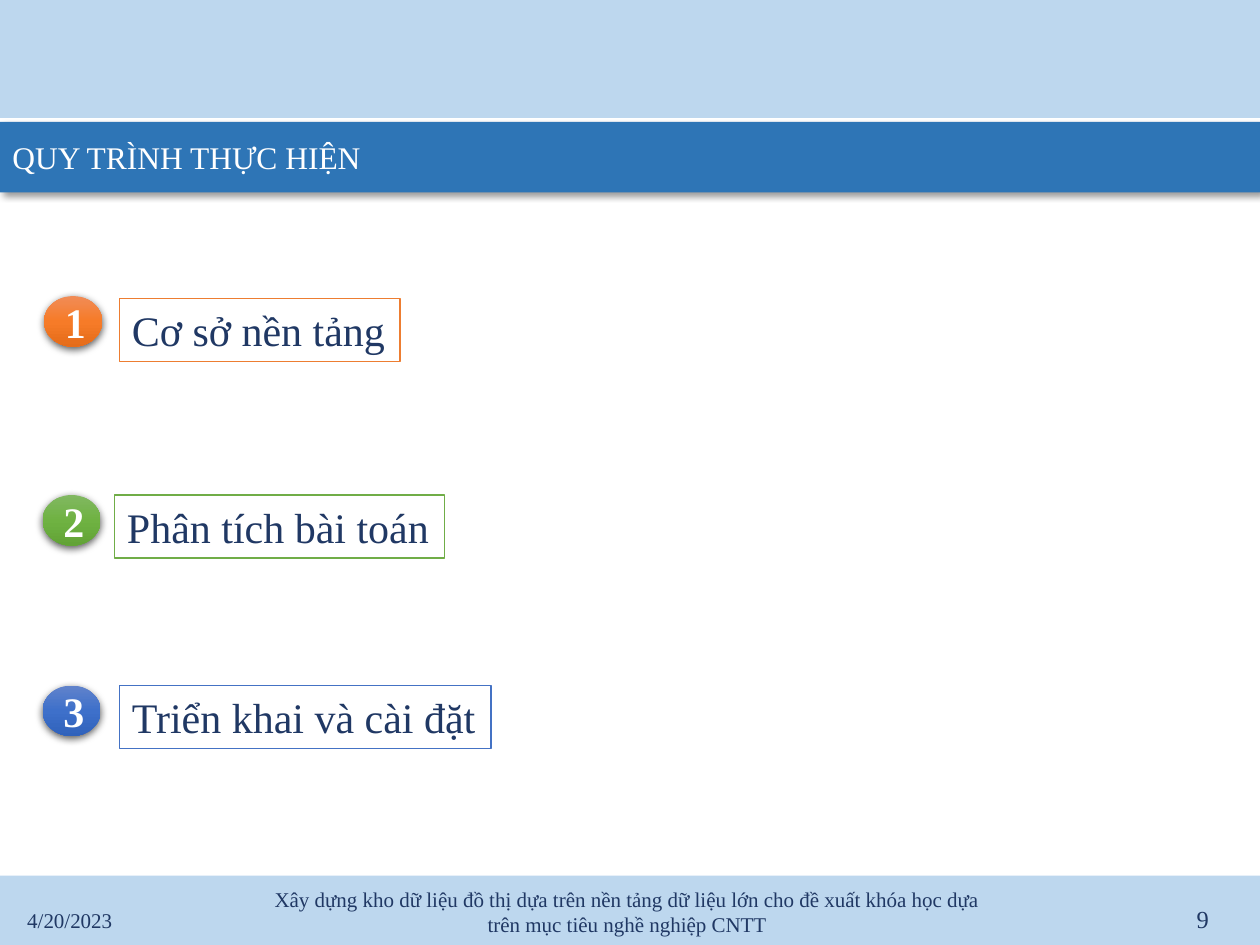
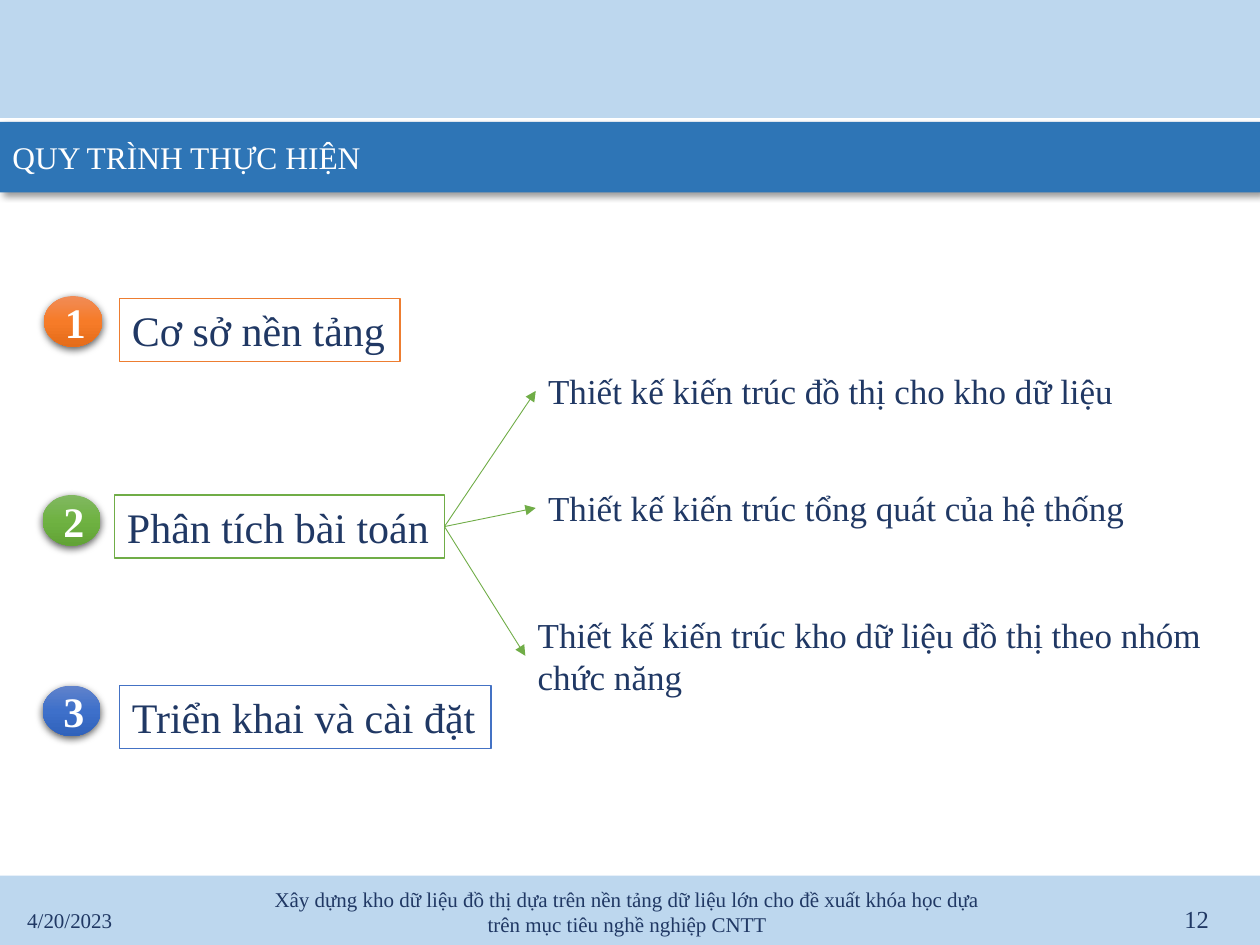
"""Builds the process overview slide and the slide that expands its second step."""
from lxml.etree import SubElement
from pptx import Presentation
from pptx.dml.color import RGBColor
from pptx.enum.shapes import MSO_CONNECTOR, MSO_SHAPE
from pptx.enum.text import MSO_ANCHOR as Anchor, MSO_AUTO_SIZE as AutoSize, PP_ALIGN as Align
from pptx.oxml.ns import qn
from pptx.util import Cm, Pt

FONT = "Times New Roman"
WIDTH, HEIGHT = 25.4, 19.05
COLORS = {
    "band": "BDD7EE", "title": "2E75B6", "text": "203864", "white": "FFFFFF",
    "orange": "ED7D31", "green": "70AD47", "blue": "4472C4", "shadow": "000000",
}
GRADIENTS = {
    "orange": ("F18C57", "F67B28", "E56C19"),
    "green": ("81B861", "6FB242", "62A336"),
    "blue": ("6183CB", "3E70CA", "3062BB"),
}
TITLE = "QUY TRÌNH THỰC HIỆN"
DATE = "4/20/2023"
TOPIC = ("Xây dựng kho dữ liệu đồ thị dựa trên nền tảng dữ liệu lớn cho đề xuất khóa học "
         "dựa trên mục tiêu nghề nghiệp CNTT")
STEPS = [
    ("Cơ sở nền tảng", "orange", (2.41, 6.02, 5.66, 1.27), (0.89, 5.97)),
    ("Phân tích bài toán", "green", (2.31, 9.98, 6.65, 1.27), (0.86, 9.98)),
    ("Triển khai và cài đặt", "blue", (2.41, 13.82, 7.49, 1.27), (0.86, 13.82)),
]
DESIGN_TASKS = [
    ("Thiết kế kiến trúc đồ thị cho kho dữ liệu", (10.8, 7.32, 12.42, 1.12)),
    ("Thiết kế kiến trúc tổng quát của hệ thống", (10.8, 9.68, 12.29, 1.12)),
    ("Thiết kế kiến trúc kho dữ liệu đồ thị theo nhóm chức năng", (10.59, 12.24, 13.92, 1.96)),
]


def rgb(name):
    return RGBColor.from_string(COLORS[name])


class Deck:
    """Holds the presentation, its style and the current slide."""

    def __init__(self):
        self.file = Presentation()
        self.file.slide_width, self.file.slide_height = Cm(WIDTH), Cm(HEIGHT)
        self.slide = None

    def new_slide(self, number):
        self.slide = self.file.slides.add_slide(self.file.slide_layouts[6])
        self.band(0, 2.38, "band")
        self.band(17.65, HEIGHT - 17.65, "band")
        title = self.band(2.46, 1.42, "title")
        self.set_text(title, TITLE, 18, "white")
        self.cast_shadow(title, 40, 4, 3, 45)
        self.text((0.3, 18.03, 5.72, 1.02), DATE, 12)
        self.text((5.28, 17.86, 14.73, 1.02), TOPIC, 12, Align.CENTER)
        self.text((18.9, 18.01, 5.72, 1.02), str(number), 14, Align.RIGHT)

    def set_text(self, shape, text, size, color="text", align=Align.LEFT, anchor=Anchor.MIDDLE, bold=False):
        frame = shape.text_frame
        frame.text = text
        frame.vertical_anchor = anchor
        paragraph = frame.paragraphs[0]
        paragraph.alignment = align
        font = paragraph.runs[0].font
        font.name, font.size, font.bold = FONT, Pt(size), bold
        font.color.rgb = rgb(color)

    def text(self, box, text, size, align=Align.LEFT, anchor=Anchor.MIDDLE):
        area = self.slide.shapes.add_textbox(*map(Cm, box))
        area.text_frame.word_wrap = True
        self.set_text(area, text, size, align=align, anchor=anchor)
        return area

    def shape(self, kind, box, fill="white"):
        shape = self.slide.shapes.add_shape(kind, *map(Cm, box))
        shape.shadow.inherit = False
        shape.fill.solid()
        shape.fill.fore_color.rgb = rgb(fill)
        shape.line.fill.background()
        return shape

    def band(self, top, height, fill):
        return self.shape(MSO_SHAPE.RECTANGLE, (0, top, WIDTH, height), fill)

    def cast_shadow(self, shape, opacity, blur, distance, angle):
        effects = shape.element.spPr.find(qn("a:effectLst"))
        outer = SubElement(effects, qn("a:outerShdw"), blurRad=str(Pt(blur)), dist=str(Pt(distance)),
                           dir=str(angle * 60000), algn="tl", rotWithShape="0")
        tint = SubElement(outer, qn("a:srgbClr"), val=COLORS["shadow"])
        SubElement(tint, qn("a:alpha"), val=str(opacity * 1000))

    def label(self, box, text, color):
        label = self.shape(MSO_SHAPE.RECTANGLE, box)
        label.line.color.rgb = rgb(color)
        label.line.width = Pt(1)
        self.set_text(label, text, 24, anchor=Anchor.TOP)
        label.text_frame.word_wrap = False
        label.text_frame.auto_size = AutoSize.SHAPE_TO_FIT_TEXT
        return label

    def badge(self, position, number, color):
        badge = self.shape(MSO_SHAPE.OVAL, (*position, 1.17, 1.02))
        badge.fill.gradient()
        badge.fill.gradient_angle = 270
        stops = badge.element.spPr.find(qn("a:gradFill")).find(qn("a:gsLst"))
        stops.clear()
        for place, tint in enumerate(GRADIENTS[color]):
            stop = SubElement(stops, qn("a:gs"), pos=str(place * 50000))
            SubElement(stop, qn("a:srgbClr"), val=tint)
        self.cast_shadow(badge, 63, 4.5, 1.5, 90)
        self.set_text(badge, str(number), 24, "white", Align.CENTER, bold=True)

    def task(self, box, text):
        task = self.text(box, text, 20, anchor=Anchor.TOP)
        task.text_frame.auto_size = AutoSize.SHAPE_TO_FIT_TEXT
        return task

    def arrow(self, source, target, color):
        arrow = self.slide.shapes.add_connector(MSO_CONNECTOR.STRAIGHT, 0, 0, 0, 0)
        arrow.begin_connect(source, 3)
        arrow.end_connect(target, 1)
        arrow.line.color.rgb = rgb(color)
        arrow.line.width = Pt(0.5)
        properties = arrow.element.spPr
        SubElement(properties.find(qn("a:ln")), qn("a:tailEnd"), type="triangle")
        SubElement(properties, qn("a:effectLst"))

    def steps(self):
        labels = []
        for number, (text, color, box, badge_position) in enumerate(STEPS, 1):
            labels.append(self.label(box, text, color))
            self.badge(badge_position, number, color)
        return labels


def main():
    deck = Deck()
    deck.new_slide(9)
    deck.steps()

    deck.new_slide(12)
    analysis = deck.steps()[1]
    for text, box in DESIGN_TASKS:
        deck.arrow(analysis, deck.task(box, text), "green")

    deck.file.save("out.pptx")


if __name__ == "__main__":
    main()
